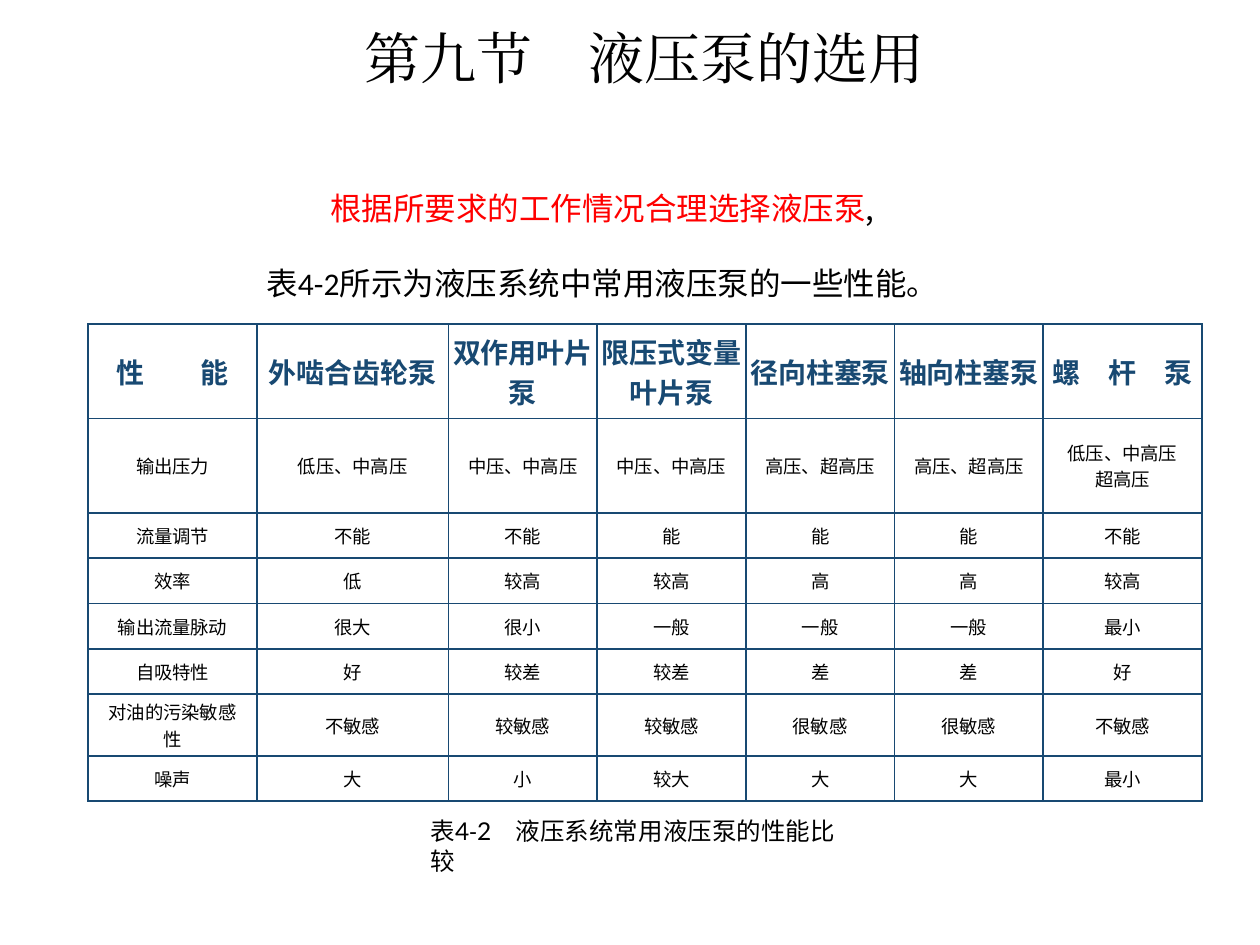
from dataclasses import dataclass

from lxml import etree
from pptx import Presentation
from pptx.dml.color import RGBColor
from pptx.enum.text import MSO_ANCHOR, MSO_AUTO_SIZE, PP_ALIGN
from pptx.oxml.ns import qn
from pptx.util import Inches, Pt


@dataclass(frozen=True)
class Theme:
    """Colours, fonts and type sizes of the slide."""
    ink: str = "000000"
    red: str = "FF0000"
    blue: str = "184972"
    title_font: str = "Times New Roman"
    body_font: str = "Calibri"
    digit_font: str = "Lato"
    table_font: str = "Arial"
    cjk_font: str = "Noto Sans CJK SC"
    title: float = 32
    body: float = 18
    caption: float = 14
    header: float = 16
    cell: float = 10.5


THEME = Theme()
COLUMN_WIDTHS = [1.34, 1.52, 1.18, 1.18, 1.18, 1.18, 1.26]
ROW_HEIGHTS = [0.75, 0.75, 0.36, 0.36, 0.36, 0.36, 0.49, 0.36]
PUMP_ROWS = [
    ["性　　能", "外啮合齿轮泵", "双作用叶片泵", "限压式变量\n叶片泵", "径向柱塞泵", "轴向柱塞泵", "螺　杆　泵"],
    ["输出压力", "低压、中高压", "中压、中高压", "中压、中高压", "高压、超高压", "高压、超高压", "低压、中高压\n超高压"],
    ["流量调节", "不能", "不能", "能", "能", "能", "不能"],
    ["效率", "低", "较高", "较高", "高", "高", "较高"],
    ["输出流量脉动", "很大", "很小", "一般", "一般", "一般", "最小"],
    ["自吸特性", "好", "较差", "较差", "差", "差", "好"],
    ["对油的污染敏感性", "不敏感", "较敏感", "较敏感", "很敏感", "很敏感", "不敏感"],
    ["噪声", "大", "小", "较大", "大", "大", "最小"],
]


def add_run(p, text, size, font=THEME.body_font, color=THEME.ink, bold=False, ea=THEME.body_font):
    """Append formatted text to a paragraph."""
    r = p.add_run()
    r.text = text
    r.font.size = Pt(size)
    r.font.name = font
    r.font.bold = bold
    r.font.color.rgb = RGBColor.from_string(color)
    etree.SubElement(r.font._element, qn("a:ea"), typeface=ea)


def add_box(slide, box):
    """Add a wrapping text box and return its text frame."""
    tf = slide.shapes.add_textbox(*map(Inches, box)).text_frame
    tf.word_wrap = True
    tf.auto_size = MSO_AUTO_SIZE.SHAPE_TO_FIT_TEXT
    return tf


def add_title(slide, box):
    """Place the section title."""
    p = add_box(slide, box).paragraphs[0]
    p.alignment = PP_ALIGN.CENTER
    add_run(p, "第九节　液压泵的选用", THEME.title, font=THEME.title_font, ea=THEME.title_font)


def add_intro(slide, box):
    """Place the two introductory lines."""
    tf = add_box(slide, box)
    first, second = tf.paragraphs[0], tf.add_paragraph()
    for p in (first, second):
        p.alignment = PP_ALIGN.CENTER
        p.line_spacing = 2.0
        p._p.get_or_add_pPr().set("indent", str(Inches(0.29)))
    add_run(first, "根据所要求的工作情况合理选择液压泵", THEME.body, color=THEME.red)
    add_run(first, ",", THEME.body, font=THEME.cjk_font)
    add_run(second, "表4-2所示为液压系统中常用液压泵的一些性能。", THEME.body)


def set_borders(cell):
    """Draw a thin blue line on every side of a cell."""
    props = cell._tc.get_or_add_tcPr()
    for i, side in enumerate(("lnL", "lnR", "lnT", "lnB")):
        line = etree.Element(qn(f"a:{side}"), w=str(Pt(1)))
        fill = etree.SubElement(line, qn("a:solidFill"))
        etree.SubElement(fill, qn("a:srgbClr"), val=THEME.blue)
        props.insert(i, line)


def fill_cell(cell, text, side_margin, **style):
    """Write centred lines into a bordered cell."""
    cell.fill.background()
    cell.vertical_anchor = MSO_ANCHOR.MIDDLE
    cell.margin_left = cell.margin_right = Inches(side_margin)
    cell.margin_top = cell.margin_bottom = 0
    tf = cell.text_frame
    for i, line in enumerate(text.split("\n")):
        p = tf.add_paragraph() if i else tf.paragraphs[0]
        p.alignment = PP_ALIGN.CENTER
        add_run(p, line, font=THEME.table_font, ea=THEME.cjk_font, **style)
    set_borders(cell)


def add_pump_table(slide, box):
    """Place the pump comparison table."""
    table = slide.shapes.add_table(len(PUMP_ROWS), len(COLUMN_WIDTHS), *map(Inches, box)).table
    table.first_row = table.horz_banding = False
    for column, width in zip(table.columns, COLUMN_WIDTHS):
        column.width = Inches(width)
    for row, height in zip(table.rows, ROW_HEIGHTS):
        row.height = Inches(height)
    header = dict(size=THEME.header, color=THEME.blue, bold=True)
    for i, texts in enumerate(PUMP_ROWS):
        style = dict(size=THEME.cell) if i else header
        for j, text in enumerate(texts):
            fill_cell(table.cell(i, j), text, 0.11 if i and not j else 0, **style)


def add_caption(slide, box):
    """Place the table caption."""
    p = add_box(slide, box).paragraphs[0]
    add_run(p, "表", THEME.caption)
    add_run(p, "4", THEME.caption, font=THEME.digit_font)
    add_run(p, "-", THEME.caption)
    add_run(p, "2　", THEME.caption, font=THEME.digit_font)
    add_run(p, "液压系统常用液压泵的性能比较", THEME.caption)


def main():
    """Build and save the slide."""
    prs = Presentation()
    prs.slide_width, prs.slide_height = Inches(10), Inches(7.5)
    slide = prs.slides.add_slide(prs.slide_layouts[6])
    add_title(slide, (0.94, 0.14, 8.35, 0.64))
    add_intro(slide, (1.06, 1.15, 7.15, 1.23))
    add_pump_table(slide, (0.7, 2.57, 8.84, 3.78))
    add_caption(slide, (3.32, 6.43, 3.6, 0.34))
    prs.save("out.pptx")


if __name__ == "__main__":
    main()
